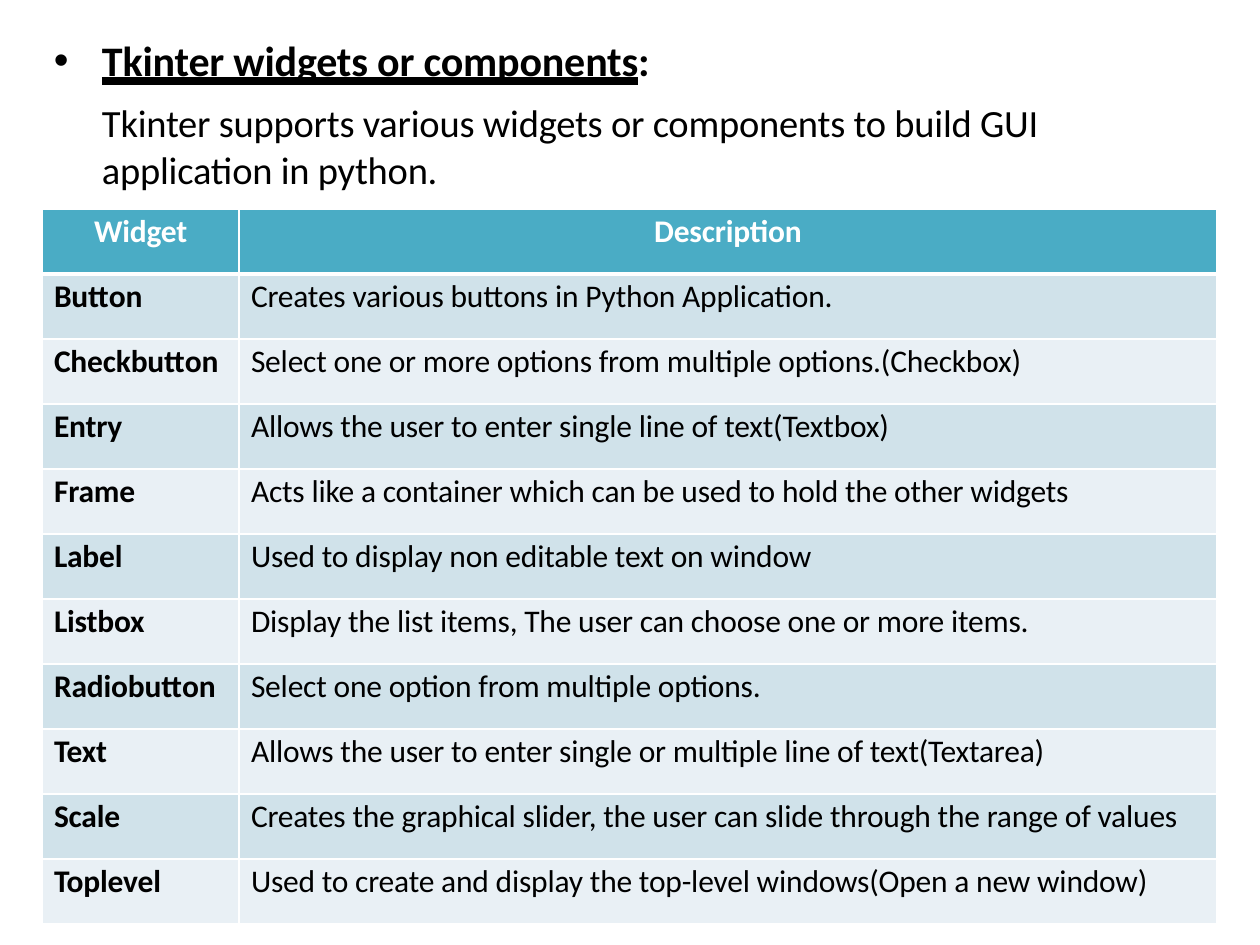
"""Build the slide that lists the Tkinter widgets in a table."""
from lxml import etree
from pptx import Presentation
from pptx.dml.color import RGBColor
from pptx.enum.text import MSO_AUTO_SIZE, MSO_UNDERLINE, PP_ALIGN
from pptx.oxml.ns import qn
from pptx.util import Emu, Pt

BLACK = RGBColor(0x00, 0x00, 0x00)
WHITE = RGBColor(0xFF, 0xFF, 0xFF)
TEAL = RGBColor(0x4A, 0xAC, 0xC5)
BANDS = (RGBColor(0xD0, 0xE2, 0xEA), RGBColor(0xE9, 0xF0, 0xF5))
LEFT, CENTER = PP_ALIGN.LEFT, PP_ALIGN.CENTER
HEAVY = MSO_UNDERLINE.HEAVY_LINE
GROW = MSO_AUTO_SIZE.SHAPE_TO_FIT_TEXT
SCALE = 914400 / 126

HEADER = ("Widget", "Description")
WIDGETS = (
    ("Button", "Creates various buttons in Python Application."),
    ("Checkbutton", "Select one or more options from multiple options.(Checkbox)"),
    ("Entry", "Allows the user to enter single line of text(Textbox)"),
    ("Frame", "Acts like a container which can be used to hold the other widgets"),
    ("Label", "Used to display non editable text on window"),
    ("Listbox", "Display the list items, The user can choose one or more items."),
    ("Radiobutton", "Select one option from multiple options."),
    ("Text", "Allows the user to enter single or multiple line of text(Textarea)"),
    ("Scale", "Creates the graphical slider, the user can slide through the range of values"),
    ("Toplevel", "Used to create and display the top-level windows(Open a new window)"),
)


def px(length):
    return Emu(round(length * SCALE))


class SlideBuilder:
    def __init__(self, slide, font_name="Calibri", tracking=-10):
        self.slide = slide
        self.font_name = font_name
        self.tracking = tracking

    def fill_paragraph(self, paragraph, texts, size, color=BLACK, bold=False, before=2.5,
                       indent=0, bullet=None, align=LEFT):
        properties = paragraph._p.get_or_add_pPr()
        properties.set("marL", str(px(indent)))
        properties.set("indent", str(px(-48 if bullet else 0)))
        if bullet:
            etree.SubElement(properties, qn("a:buFont"), typeface="Arial")
            etree.SubElement(properties, qn("a:buChar"), char=bullet)
        paragraph.alignment = align
        paragraph.space_before = Pt(before)
        font = paragraph.font
        font.name, font.size, font.bold = self.font_name, Pt(size), bold
        font.color.rgb = color
        for text in texts:
            run = paragraph.add_run()
            run.text = text
            run._r.get_or_add_rPr().set("spc", str(self.tracking))

    def text_box(self, left, top, width, height, margin_top):
        frame = self.slide.shapes.add_textbox(px(left), px(top), px(width), px(height)).text_frame
        frame.word_wrap = True
        frame.auto_size = GROW
        frame.margin_left = frame.margin_right = frame.margin_bottom = 0
        frame.margin_top = px(margin_top)
        return frame

    def border(self, cell, side, points):
        line = etree.SubElement(cell._tc.get_or_add_tcPr(), qn(f"a:ln{side}"), w=str(Pt(points)))
        fill = etree.SubElement(line, qn("a:solidFill"))
        etree.SubElement(fill, qn("a:srgbClr"), val=str(WHITE))

    def cell(self, cell, text, fill, top_line=1, bottom_line=1, **style):
        for side, points in (("L", 1), ("R", 1), ("T", top_line), ("B", bottom_line)):
            self.border(cell, side, points)
        cell.fill.solid()
        cell.fill.fore_color.rgb = fill
        cell.margin_left = cell.margin_right = cell.margin_bottom = 0
        cell.margin_top = px(4)
        self.fill_paragraph(cell.text_frame.paragraphs[0], [text], 18, **style)

    def table(self, left, top, widths, row_height, header, rows):
        count = len(rows) + 1
        table = self.slide.shapes.add_table(
            count, len(widths), px(left), px(top), px(sum(widths)), px(row_height * count)).table
        for column, width in zip(table.columns, widths):
            column.width = px(width)
        for row in table.rows:
            row.height = px(row_height)
        for column, text in enumerate(header):
            layout = {"align": CENTER} if column else {"indent": 52}
            self.cell(table.cell(0, column), text, TEAL, bottom_line=3,
                      color=WHITE, bold=True, **layout)
        for index, row in enumerate(rows):
            for column, text in enumerate(row):
                self.cell(table.cell(index + 1, column), text, BANDS[index % 2],
                          top_line=1 if index else 3, bold=column == 0, indent=12)


def main():
    presentation = Presentation()
    presentation.slide_width, presentation.slide_height = px(1260), px(945)
    builder = SlideBuilder(presentation.slides.add_slide(presentation.slide_layouts[6]))

    frame = builder.text_box(53, 19, 999, 176, margin_top=16)
    title = frame.paragraphs[0]
    builder.fill_paragraph(title, ["Tkinter widgets or components", ":"], 24,
                           bold=True, before=9.5, indent=49, bullet="•")
    title.runs[0].font.underline = HEAVY
    for text, before in (
        ("Tkinter supports various widgets or components to build GUI", 7.8),
        ("application in python.", 0.6),
    ):
        builder.fill_paragraph(frame.add_paragraph(), [text], 22, before=before, indent=49)

    builder.table(42, 209, (197, 978), 65, HEADER, WIDGETS)
    presentation.save("out.pptx")


if __name__ == "__main__":
    main()
